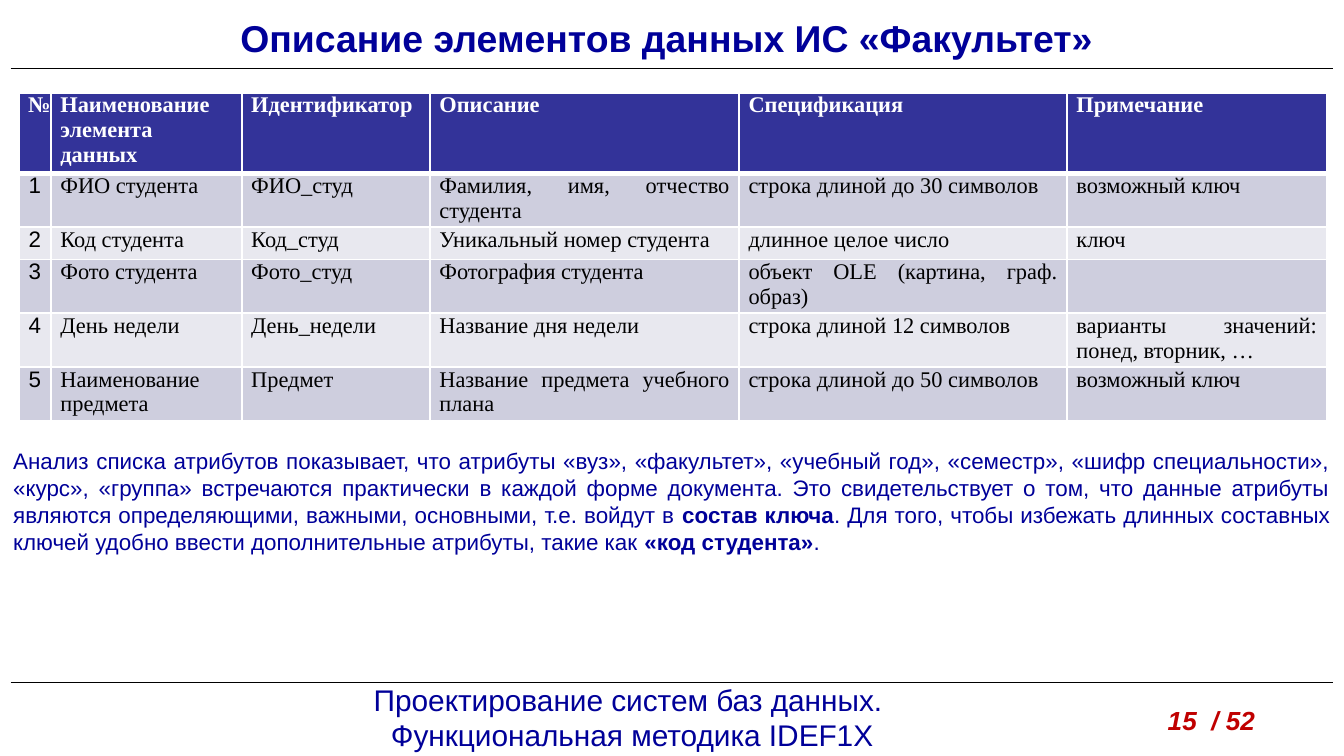
from dataclasses import dataclass

from lxml.etree import SubElement
from pptx import Presentation
from pptx.dml.color import RGBColor
from pptx.enum.shapes import MSO_CONNECTOR
from pptx.enum.text import PP_ALIGN
from pptx.oxml import parse_xml
from pptx.oxml.ns import nsdecls, qn
from pptx.util import Inches, Pt


@dataclass(frozen=True)
class Theme:
    sans: str = "Arial"
    serif: str = "Times New Roman"
    navy: str = "000099"
    red: str = "C00000"
    black: str = "000000"
    white: str = "FFFFFF"
    header_fill: str = "333399"
    band_fills: tuple = ("CECEDE", "E8E8EF")
    title_size: int = 20
    footer_size: int = 16
    page_size: int = 14
    body_size: int = 12
    rule_width: float = 0.75
    border_width: int = 1
    header_border_width: int = 3


THEME = Theme()

TITLE = "Описание элементов данных ИС «Факультет» "
FOOTER = ["Проектирование систем баз данных. ", "Функциональная методика IDEF1X"]
PAGE = "15  / 52"
COLUMN_WIDTHS = [0.24, 1.42, 1.4, 2.3, 2.44, 1.93]
ROW_HEIGHTS = [0.59, 0.4, 0.24, 0.4, 0.4, 0.4]
ELEMENTS = [
    ["№", "Наименование элемента данных", "Идентификатор", "Описание",
     "Спецификация", "Примечание"],
    ["1", "ФИО студента", "ФИО_студ", "Фамилия, имя, отчество студента",
     "строка длиной до 30 символов", "возможный ключ"],
    ["2", "Код студента", "Код_студ", "Уникальный номер студента",
     "длинное целое число", "ключ"],
    ["3", "Фото студента", "Фото_студ", "Фотография студента",
     "объект OLE (картина, граф. образ)", ""],
    ["4", "День недели", "День_недели", "Название дня недели",
     "строка длиной 12 символов", "варианты значений: понед, вторник, …"],
    ["5", "Наименование предмета", "Предмет", "Название предмета учебного плана",
     "строка длиной до 50 символов", "возможный ключ"],
]
ANALYSIS = [
    ("Анализ списка атрибутов показывает, что атрибуты «вуз», «факультет», "
     "«учебный год», «семестр», «шифр специальности», «курс», «группа» "
     "встречаются практически в каждой форме документа. Это свидетельствует "
     "о том, что данные атрибуты являются определяющими, важными, основными, "
     "т.е. войдут в ", False),
    ("состав ключа", True),
    (". Для того, чтобы избежать длинных составных ключей удобно ввести "
     "дополнительные атрибуты, такие как ", False),
    ("«код студента»", True),
    (".", False),
]


def style_font(font, size, color, name=THEME.sans, bold=False, italic=False):
    font.name = name
    font.size = Pt(size)
    font.bold = bold
    font.italic = italic
    font.color.rgb = RGBColor.from_string(color)


def add_text(slide, box, paragraphs, size, color, align, italic=False):
    frame = slide.shapes.add_textbox(*map(Inches, box)).text_frame
    frame.word_wrap = True
    frame.text = "\n".join("" for _ in paragraphs)
    for paragraph, pieces in zip(frame.paragraphs, paragraphs):
        paragraph.alignment = align
        for wording, bold in pieces:
            run = paragraph.add_run()
            run.text = wording
            style_font(run.font, size, color, bold=bold, italic=italic)


def add_rule(slide, y):
    rule = slide.shapes.add_connector(
        MSO_CONNECTOR.STRAIGHT, Inches(0.08), Inches(y), Inches(9.92), Inches(y))
    rule.line.color.rgb = RGBColor.from_string(THEME.black)
    rule.line.width = Pt(THEME.rule_width)
    SubElement(rule._element.spPr, qn("a:effectLst"))


def set_borders(cell, top, bottom):
    side = THEME.border_width
    widths = {"lnL": side, "lnR": side, "lnT": top, "lnB": bottom}
    properties = cell._tc.get_or_add_tcPr()
    for position, (tag, width) in enumerate(widths.items()):
        properties.insert(position, parse_xml(
            f'<a:{tag} {nsdecls("a")} w="{Pt(width)}"><a:solidFill>'
            f'<a:srgbClr val="{THEME.white}"/></a:solidFill></a:{tag}>'))


def fill_cell(cell, wording, row, column):
    is_header = row == 0
    is_number = column == 0 and not is_header
    fill = THEME.header_fill if is_header else THEME.band_fills[(row - 1) % 2]
    cell.fill.solid()
    cell.fill.fore_color.rgb = RGBColor.from_string(fill)
    cell.margin_left = cell.margin_right = Inches(0.07)
    cell.margin_top = cell.margin_bottom = 0
    set_borders(
        cell,
        THEME.header_border_width if row == 1 else THEME.border_width,
        THEME.header_border_width if is_header else THEME.border_width)
    cell.text_frame.text = wording
    paragraph = cell.text_frame.paragraphs[0]
    paragraph.alignment = PP_ALIGN.CENTER if is_number else PP_ALIGN.JUSTIFY
    for run in paragraph.runs:
        style_font(run.font, THEME.body_size,
                   THEME.white if is_header else THEME.black,
                   THEME.sans if is_number else THEME.serif, bold=is_header)


def add_elements_table(slide):
    table = slide.shapes.add_table(
        len(ELEMENTS), len(COLUMN_WIDTHS), Inches(0.14), Inches(0.69),
        Inches(sum(COLUMN_WIDTHS)), Inches(sum(ROW_HEIGHTS))).table
    for column, width in zip(table.columns, COLUMN_WIDTHS):
        column.width = Inches(width)
    for row, height in zip(table.rows, ROW_HEIGHTS):
        row.height = Inches(height)
    for row, wordings in enumerate(ELEMENTS):
        for column, wording in enumerate(wordings):
            fill_cell(table.cell(row, column), wording, row, column)


def main():
    deck = Presentation()
    deck.slide_width = Inches(10)
    deck.slide_height = deck.slide_width * 9 // 16
    slide = deck.slides.add_slide(deck.slide_layouts[6])

    add_text(slide, (0.82, 5.02, 7.77, 0.64), [[(line, False)] for line in FOOTER],
             THEME.footer_size, THEME.navy, PP_ALIGN.CENTER)
    for y in (5.08, 0.51):
        add_rule(slide, y)
    add_text(slide, (8.59, 5.19, 1.02, 0.34), [[(PAGE, True)]],
             THEME.page_size, THEME.red, PP_ALIGN.LEFT, italic=True)
    add_text(slide, (0, 0.06, 10, 0.45), [[(TITLE, True)]],
             THEME.title_size, THEME.navy, PP_ALIGN.CENTER)
    add_elements_table(slide)
    add_text(slide, (0, 3.28, 10, 0.91), [ANALYSIS],
             THEME.body_size, THEME.navy, PP_ALIGN.JUSTIFY)

    deck.save("out.pptx")


if __name__ == "__main__":
    main()
